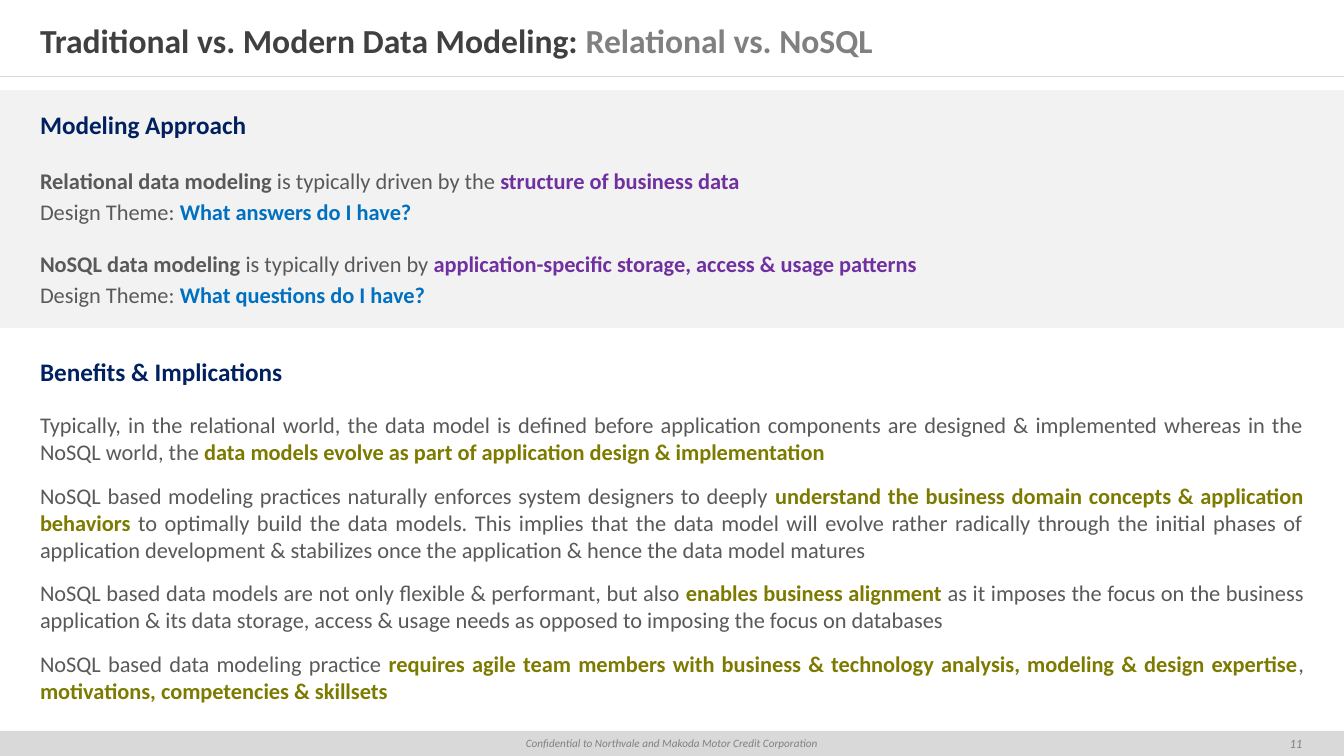
import pptx
import pptx.util
import pptx.dml.color
import pptx.enum.shapes
import pptx.enum.text
import pptx.oxml

PX = 914400 / 100.8  # EMU in one pixel
W, H = 1344, 756
ALIGN = pptx.enum.text.PP_ALIGN
ANCHOR = pptx.enum.text.MSO_ANCHOR

COLORS = {
    "white": "FFFFFF", "panel": "F2F2F2", "bar": "D9D9D9", "title": "404040",
    "muted": "808080", "heading": "002060", "body": "595959",
    "driver": "7030A0", "theme": "0070C0", "benefit": "7D7A00",
}

# Text styles: size, bold, italic, colour
STYLES = {
    "title": (24, True, False, "title"),
    "subtitle": (24, True, False, "muted"),
    "heading": (18, True, False, "heading"),
    "body": (16, False, False, "body"),
    "strong": (16, True, False, "body"),
    "driver": (16, True, False, "driver"),
    "theme": (16, True, False, "theme"),
    "benefit": (16, True, False, "benefit"),
    "footer": (8, False, True, "muted"),
    "number": (9, False, True, "muted"),
}

# Paragraphs: space before, space after, runs of (style, text)
TITLE = [(0, 0, [("title", "Traditional vs. Modern Data Modeling: "),
                 ("subtitle", "Relational vs. NoSQL")])]

APPROACH = [
    (0, 19.5, [("heading", "Modeling Approach")]),
    (0, 3, [("strong", "Relational data modeling "),
            ("body", "is typically driven by the "),
            ("driver", "structure of business data")]),
    (0, 0, [("body", "Design Theme: "), ("theme", "What answers do I have?")]),
    (18, 3, [("strong", "NoSQL data modeling "),
             ("body", "is typically driven by "),
             ("driver", "application-specific storage, access & usage patterns")]),
    (0, 0, [("body", "Design Theme: "), ("theme", "What questions do I have?")]),
]

BENEFITS = [
    (0, 18, [("heading", "Benefits & Implications")]),
    (0, 12, [
        ("body", "Typically, in the relational world, the data model is defined before "
                 "application components are designed & implemented whereas in the "
                 "NoSQL world, the "),
        ("benefit", "data models evolve as part of application design & implementation")]),
    (0, 12, [
        ("body", "NoSQL based modeling practices naturally enforces system designers "
                 "to deeply "),
        ("benefit", "understand the business domain concepts & application behaviors"),
        ("body", " to optimally build the data models. This implies that the data model "
                 "will evolve rather radically through the initial phases of application "
                 "development & stabilizes once the application & hence the data model "
                 "matures")]),
    (0, 12, [
        ("body", "NoSQL based data models are not only flexible & performant, but also "),
        ("benefit", "enables business alignment "),
        ("body", "as it imposes the focus on the business application & its data storage, "
                 "access & usage needs as opposed to imposing the focus on databases")]),
    (0, 12, [
        ("body", "NoSQL based data modeling practice "),
        ("benefit", "requires agile team members with business & technology analysis, "
                    "modeling & design expertise"),
        ("body", ", "),
        ("benefit", "motivations, competencies & skillsets")]),
]

FOOTER = [(0, 0, [("footer", "Confidential to Northvale and Makoda Motor Credit Corporation")])]
NUMBER = [(0, 0, [("number", "11")])]


def px(*values):
    return [round(v * PX) for v in values]


def rgb(name):
    return pptx.dml.color.RGBColor.from_string(COLORS[name])


def write(sp, paragraphs, align=ALIGN.LEFT, anchor=ANCHOR.MIDDLE, inset=(40, 20)):
    """Fill a shape with formatted paragraphs."""
    tf = sp.text_frame
    across, down = px(*inset)
    frame = {"word_wrap": True, "auto_size": pptx.enum.text.MSO_AUTO_SIZE.NONE,
             "vertical_anchor": anchor, "margin_left": across, "margin_right": across,
             "margin_top": down, "margin_bottom": down}
    for key, value in frame.items():
        setattr(tf, key, value)
    for i, (before, after, runs) in enumerate(paragraphs):
        p = tf.paragraphs[0] if i == 0 else tf.add_paragraph()
        p.alignment = align
        p.space_before = pptx.util.Pt(before)
        p.space_after = pptx.util.Pt(after)
        for style, text in runs:
            size, bold, italic, color = STYLES[style]
            r = p.add_run()
            r.text = text
            font = {"name": "Calibri", "size": pptx.util.Pt(size),
                    "bold": bold, "italic": italic}
            for key, value in font.items():
                setattr(r.font, key, value)
            r.font.color.rgb = rgb(color)


def add_band(s, top, height, fill):
    """Add a full-width filled rectangle."""
    sp = s.shapes.add_shape(pptx.enum.shapes.MSO_SHAPE.RECTANGLE, *px(0, top, W, height))
    sp.shadow.inherit = False
    sp.fill.solid()
    sp.fill.fore_color.rgb = rgb(fill)
    sp.line.fill.background()
    return sp


def add_rule(s, y):
    """Add a thin full-width line."""
    line = s.shapes.add_connector(pptx.enum.shapes.MSO_CONNECTOR.STRAIGHT, *px(0, y, W, y))
    line.line.color.rgb = rgb("bar")
    line.line.width = pptx.util.Pt(0.25)
    line._element.spPr.append(pptx.oxml.parse_xml(
        '<a:effectLst xmlns:a="http://schemas.openxmlformats.org/drawingml/2006/main"/>'))


def add_title(s):
    sp = s.shapes.title
    sp.left, sp.top, sp.width, sp.height = px(0, 16, W, 48)
    write(sp, TITLE)


def main():
    prs = pptx.Presentation()
    prs.slide_width, prs.slide_height = px(W, H)
    s = prs.slides.add_slide(prs.slide_layouts[5])

    # Title and rule
    add_title(s)
    add_rule(s, 76)

    # Content sections
    write(add_band(s, 90, 238, "panel"), APPROACH)
    write(add_band(s, 336, 386, "white"), BENEFITS, ALIGN.JUSTIFY, ANCHOR.TOP)

    # Footer and slide number
    write(add_band(s, 731, 25, "bar"), FOOTER, ALIGN.CENTER, inset=(10, 5))
    number = s.shapes.add_textbox(*px(1260, 731, 72, 25))
    write(number, NUMBER, ALIGN.CENTER, inset=(10, 5))

    prs.save("out.pptx")


if __name__ == "__main__":
    main()
